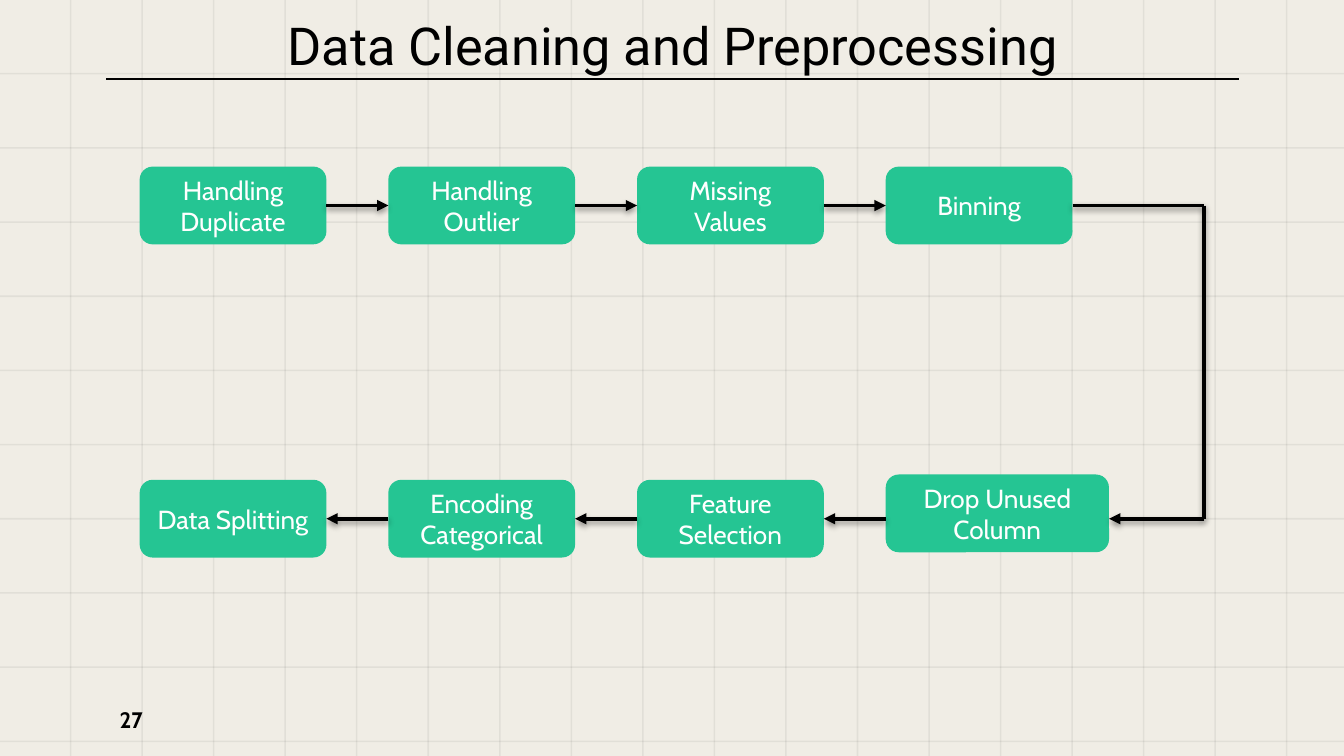
from itertools import pairwise
from lxml.etree import SubElement
from pptx import Presentation
from pptx.dml.color import RGBColor
from pptx.enum.shapes import MSO_CONNECTOR, MSO_SHAPE
from pptx.enum.text import MSO_ANCHOR, MSO_AUTO_SIZE, PP_ALIGN
from pptx.oxml.ns import qn
from pptx.util import Cm, Pt

TITLE = "Data Cleaning and Preprocessing"
PAGE_NUMBER = "27"
TOP_STEPS = ["Handling Duplicate", "Handling Outlier", "Missing Values", "Binning"]
BOTTOM_STEPS = ["Data Splitting", "Encoding Categorical", "Feature Selection", "Drop Unused Column"]

THEME = {
    "background": "F0EDE5", "ink": "000000", "box": "25C593", "box_text": "FFFFFF",
    "title_font": "Roboto", "body_font": "Cabin",
    "title_size": 28, "box_size": 14, "number_size": 12,
    "rule_width": 0.75, "arrow_width": 2, "grid_opacity": 6, "shadow_opacity": 38,
}

SLIDE_WIDTH, SLIDE_HEIGHT = 25.4, 14.29
MARGIN, CONTENT_WIDTH, RULE_Y = 2.01, 21.4, 1.49
GRID_LINE = 0.03
COLUMN_START, COLUMN_STEP, COLUMN_COUNT = 1.32, 1.352, 18
ROW_START, ROW_STEP, ROW_COUNT = 1.38, 1.402, 10
BOX_LEFT, BOX_STEP, BOX_WIDTH, BOX_HEIGHT = 2.64, 4.7, 3.53, 1.47
TOP_ROW, BOTTOM_ROW = 3.15, 9.07
LAST_BOX_TOP, LAST_BOX_WIDTH = 8.97, 4.22
TURN_X = 22.75


def color(name):
    return RGBColor.from_string(THEME[name])


def set_text(shape, text, *, font, size, ink="ink", bold=False, align=PP_ALIGN.CENTER,
             anchor=MSO_ANCHOR.MIDDLE, inset=0.25):
    frame = shape.text_frame
    frame.word_wrap = True
    frame.auto_size = MSO_AUTO_SIZE.NONE
    frame.vertical_anchor = anchor
    frame.margin_left = frame.margin_right = Cm(0.25)
    frame.margin_top = frame.margin_bottom = Cm(inset)
    paragraph = frame.paragraphs[0]
    paragraph.alignment = align
    run = paragraph.add_run()
    run.text = text
    run.font.name = THEME[font]
    run.font.size = Pt(THEME[size])
    run.font.bold = bold
    run.font.color.rgb = color(ink)


def add_block(shapes, kind, left, top, width, height, fill):
    shape = shapes.add_shape(kind, Cm(left), Cm(top), Cm(width), Cm(height))
    shape.shadow.inherit = False
    shape.fill.solid()
    shape.fill.fore_color.rgb = color(fill)
    shape.line.fill.background()
    return shape


def set_opacity(color_element, percent):
    SubElement(color_element, qn("a:alpha"), val=str(percent * 1000))


def add_grid(shapes):
    columns = [(COLUMN_START + i * COLUMN_STEP, 0, GRID_LINE, SLIDE_HEIGHT) for i in range(COLUMN_COUNT)]
    rows = [(0, ROW_START + i * ROW_STEP, SLIDE_WIDTH, GRID_LINE) for i in range(ROW_COUNT)]
    for bounds in columns + rows:
        bar = add_block(shapes, MSO_SHAPE.RECTANGLE, *bounds, "ink")
        set_opacity(bar.element.spPr.find(".//" + qn("a:srgbClr")), THEME["grid_opacity"])


def add_line(shapes, start, end, *, width="arrow_width", arrow=False, shadow=True):
    line = shapes.add_connector(MSO_CONNECTOR.STRAIGHT, *map(Cm, start + end))
    line.line.color.rgb = color("ink")
    line.line.width = Pt(THEME[width])
    properties = line.element.spPr
    if arrow:
        SubElement(properties.find(qn("a:ln")), qn("a:tailEnd"), type="triangle")
    effects = SubElement(properties, qn("a:effectLst"))
    if shadow:
        outer = SubElement(effects, qn("a:outerShdw"), blurRad=str(Pt(3.1)), dist=str(Pt(1.6)),
                           dir="5400000", rotWithShape="0")
        set_opacity(SubElement(outer, qn("a:srgbClr"), val=THEME["ink"]), THEME["shadow_opacity"])


def add_step(shapes, text, left, top, width):
    box = add_block(shapes, MSO_SHAPE.ROUNDED_RECTANGLE, left, top, width, BOX_HEIGHT, "box")
    set_text(box, text, font="body_font", size="box_size", ink="box_text", inset=0.13)


def add_flow(shapes):
    lefts = [BOX_LEFT + i * BOX_STEP for i in range(len(TOP_STEPS))]
    for left, top_step, bottom_step in zip(lefts, TOP_STEPS, BOTTOM_STEPS):
        is_last = left == lefts[-1]
        add_step(shapes, top_step, left, TOP_ROW, BOX_WIDTH)
        add_step(shapes, bottom_step, left, LAST_BOX_TOP if is_last else BOTTOM_ROW,
                 LAST_BOX_WIDTH if is_last else BOX_WIDTH)

    top_y, bottom_y = (row + BOX_HEIGHT / 2 for row in (TOP_ROW, BOTTOM_ROW))
    for left, next_left in pairwise(lefts):
        right = left + BOX_WIDTH
        add_line(shapes, (right, top_y), (next_left, top_y), arrow=True)
        add_line(shapes, (next_left, bottom_y), (right, bottom_y), arrow=True)

    turn = [(lefts[-1] + BOX_WIDTH, top_y), (TURN_X, top_y), (TURN_X, bottom_y),
            (lefts[-1] + LAST_BOX_WIDTH, bottom_y)]
    for start, end in pairwise(turn):
        add_line(shapes, start, end, arrow=end == turn[-1])


def main():
    presentation = Presentation()
    presentation.slide_width, presentation.slide_height = Cm(SLIDE_WIDTH), Cm(SLIDE_HEIGHT)
    slide = presentation.slides.add_slide(presentation.slide_layouts[5])
    slide.background.fill.solid()
    slide.background.fill.fore_color.rgb = color("background")
    shapes = slide.shapes

    add_grid(shapes)
    add_line(shapes, (MARGIN, RULE_Y), (MARGIN + CONTENT_WIDTH, RULE_Y), width="rule_width", shadow=False)

    title = shapes.title
    title.left, title.top, title.width, title.height = Cm(MARGIN), Cm(0), Cm(CONTENT_WIDTH), Cm(1.6)
    set_text(title, TITLE, font="title_font", size="title_size", anchor=MSO_ANCHOR.TOP)
    shapes._spTree.append(title.element)

    number = shapes.add_textbox(Cm(MARGIN), Cm(13.06), Cm(1.52), Cm(1.09))
    set_text(number, PAGE_NUMBER, font="body_font", size="number_size", bold=True, align=PP_ALIGN.LEFT)

    add_flow(shapes)
    presentation.save("out.pptx")


if __name__ == "__main__":
    main()
